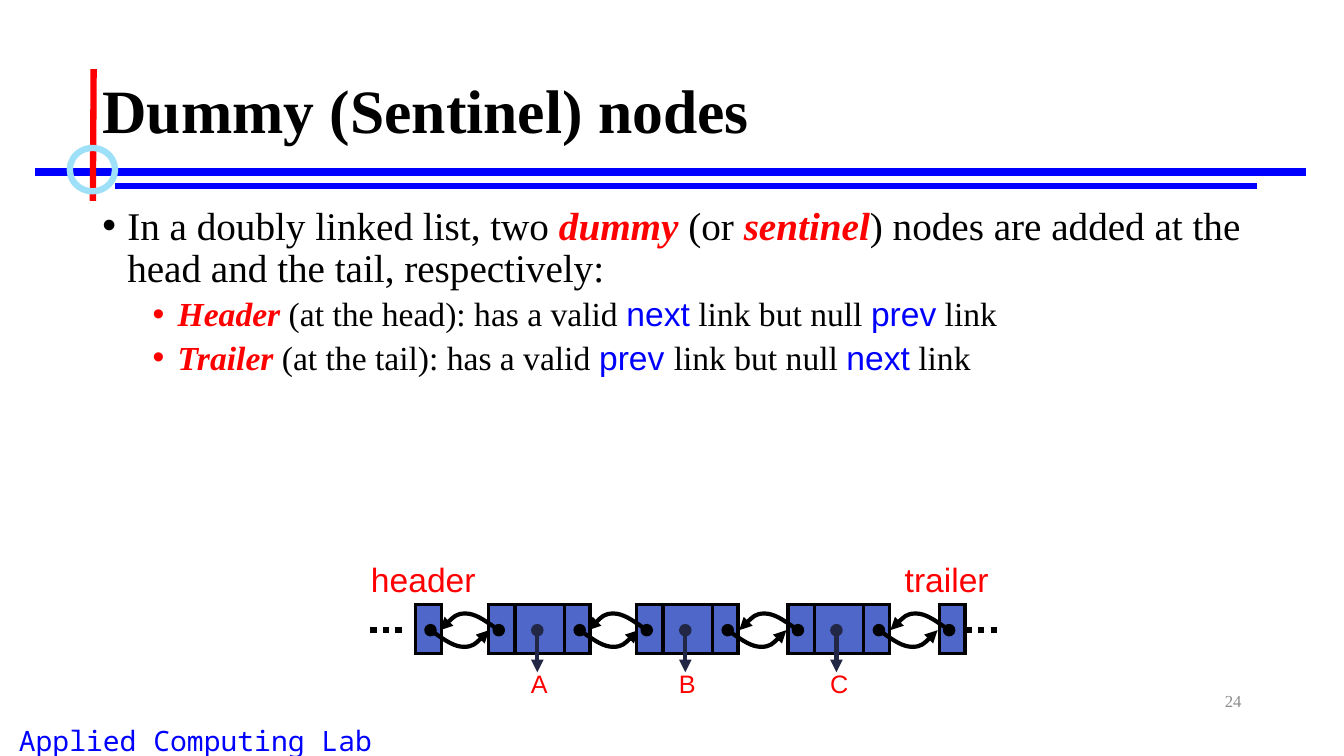
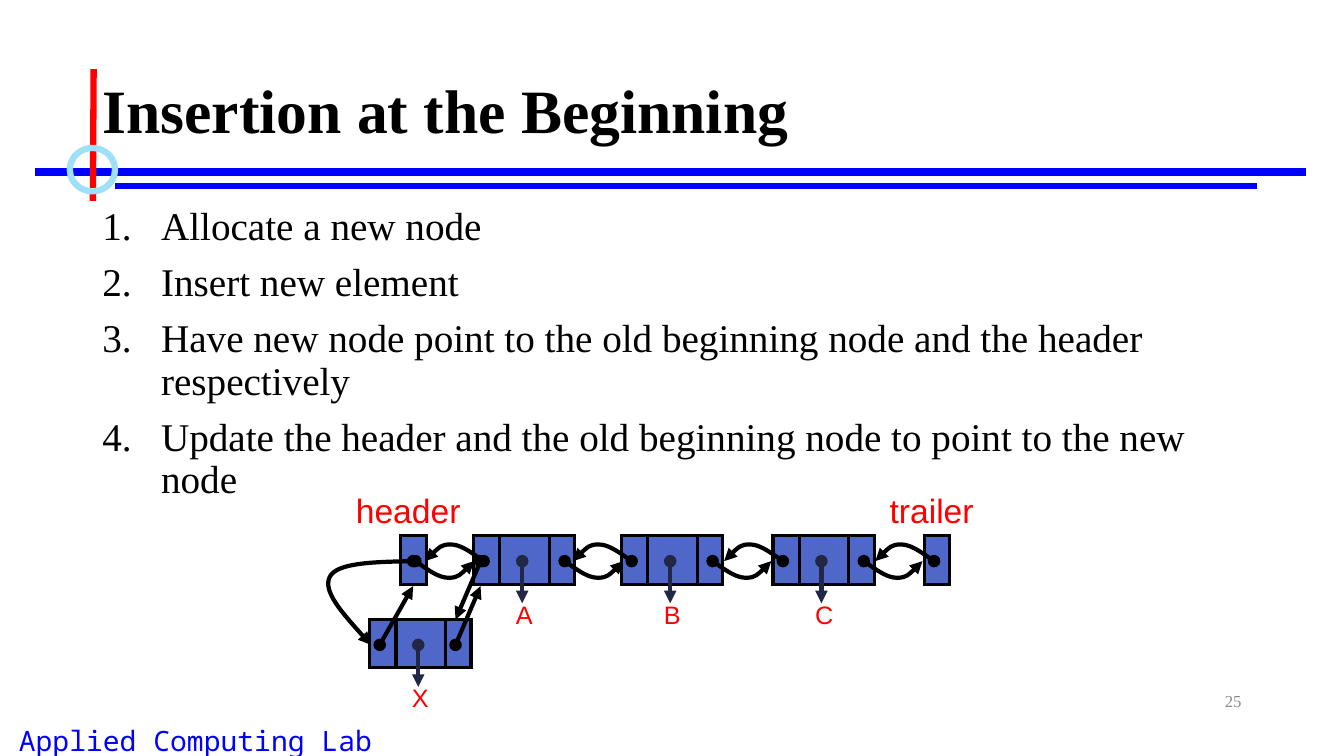
from lxml import etree
from pptx import Presentation
from pptx.dml.color import RGBColor
from pptx.enum.dml import MSO_LINE
from pptx.enum.shapes import MSO_CONNECTOR, MSO_SHAPE
from pptx.enum.text import MSO_ANCHOR, MSO_AUTO_SIZE, PP_ALIGN
from pptx.oxml.ns import qn
from pptx.util import Cm, Pt

STRAIGHT, RECT, OVAL = MSO_CONNECTOR.STRAIGHT, MSO_SHAPE.RECTANGLE, MSO_SHAPE.OVAL
DOTS = MSO_LINE.ROUND_DOT
LEFT, CENTER, RIGHT = PP_ALIGN.LEFT, PP_ALIGN.CENTER, PP_ALIGN.RIGHT
TOP, MIDDLE = MSO_ANCHOR.TOP, MSO_ANCHOR.MIDDLE

COLORS = {
    "black": "000000", "red": "FF0000", "blue": "0000FF", "sky": "9EE0F8",
    "node": "4E67C8", "navy": "212745", "gray": "8C8C8C",
}
SERIF, SANS, MONO = "Times New Roman", "Arial", "Noto Sans Mono"

# font, colour, bold, italic
STYLES = {
    "title": (SERIF, "black", True, False),
    "plain": (SERIF, "black", False, False),
    "term": (SERIF, "red", True, True),
    "code": (SANS, "blue", False, False),
    "label": (SANS, "red", False, False),
    "footer": (MONO, "blue", False, False),
    "number": (SERIF, "gray", False, False),
}
# size, alignment, line spacing, space before, margin, hanging indent, bullet
LEVELS = {
    "title": (44, LEFT, 0.9, 0, 0, 0, None),
    "bullet": (28, LEFT, 0.9, 10, 0.63, 0.63, "buChar"),
    "sub": (24, LEFT, 0.9, 5, 1.9, 0.63, "buChar"),
    "step": (28, LEFT, 0.9, 10, 1.48, 1.48, "buAutoNum"),
    "footer": (20, CENTER, 1, 0, 0, 0, None),
    "number": (12, RIGHT, 1, 0, 0, 0, None),
    "end": (24, LEFT, 1, 0, 0, 0, None),
    "element": (18, LEFT, 1, 0, 0, 0, None),
}
BULLETS = {"buChar": {"char": "•"}, "buAutoNum": {"type": "arabicPeriod"}}


def add_text(s, box, paragraphs, anchor=TOP, wrap=True):
    """Add a text box; each paragraph is a level and a list of (text, style) runs."""
    tf = s.shapes.add_textbox(*map(Cm, box)).text_frame
    tf.word_wrap = wrap
    tf.vertical_anchor = anchor
    tf.auto_size = MSO_AUTO_SIZE.NONE if wrap else MSO_AUTO_SIZE.SHAPE_TO_FIT_TEXT
    for i, (level, runs) in enumerate(paragraphs):
        size, align, spacing, before, margin, hang, bullet = LEVELS[level]
        p = tf.add_paragraph() if i else tf.paragraphs[0]
        p.alignment, p.line_spacing, p.space_before = align, spacing, Pt(before)
        if bullet:
            pPr = p._p.get_or_add_pPr()
            pPr.set("marL", str(Cm(margin)))
            pPr.set("indent", str(-Cm(hang)))
            if bullet == "buChar":
                etree.SubElement(pPr, qn("a:buFont"), typeface=SANS)
            etree.SubElement(pPr, qn("a:" + bullet), BULLETS[bullet])
        for text, style in runs:
            r = p.add_run()
            r.text = text
            r.font.size = Pt(size)
            r.font.name, color, r.font.bold, r.font.italic = STYLES[style]
            r.font.color.rgb = RGBColor.from_string(COLORS[color])


def set_line(shape, color, width, arrow=False, dash=None):
    """Set a sharp outline without shadow, with a round start and arrowhead on request."""
    shape.line.color.rgb = RGBColor.from_string(COLORS[color])
    shape.line.width = Pt(width)
    if dash:
        shape.line.dash_style = dash
    spPr = shape.element.spPr
    ln = spPr.find(qn("a:ln"))
    etree.SubElement(ln, qn("a:miter"), lim="800000")
    if arrow:
        etree.SubElement(ln, qn("a:headEnd"), type="oval")
        etree.SubElement(ln, qn("a:tailEnd"), type="triangle")
    etree.SubElement(spPr, qn("a:effectLst"))


# Linked-list geometry in cm, measured from the top left corner of each node
CELL_H, MID = 1.22, 0.64
NODE_CELLS = [(0.61, 1.3), (1.91, 0.64), (0, 0.66)]
END_CELL = [(0, 0.65)]
ELEMENT_BOX = (0.81, 1.47, 0.94, 1.02)
POINTER = ((1.22, MID), (1.22, 1.7), "navy")
ARC = [(0, 0), (0.3, 0.21), (0.6, 0.42), (0.84, 0.42), (1.08, 0.42), (1.28, 0.21), (1.48, 0)]
NEXT, PREV, HEADER_NEXT = [
    [(start + way * x, MID + way * y) for x, y in ARC]
    for start, way in ((2.29, 1), (0.25, -1), (0.38, 1))
]

# x, y, cells, label, label level, label box, straight arrows, curved arrows
CHAIN = [
    (x, 0, NODE_CELLS, name, "element", ELEMENT_BOX, [POINTER], [NEXT, PREV])
    for x, name in ((1.85, "A"), (5.58, "B"), (9.39, "C"))
] + [
    (0, 0, END_CELL, "header", "end", (-1.37, -1.27, 3.3, 1.27), [], [HEADER_NEXT]),
    (13.2, 0, END_CELL, "trailer", "end", (-1.12, -1.27, 2.67, 1.3), [], [PREV]),
]
NEW_NODE = (
    -0.77, 2.11, NODE_CELLS, "X", "element", ELEMENT_BOX,
    [POINTER,
     ((2.16, MID), (2.79, -0.84), "black"),
     ((0.25, MID), (1.09, -0.84), "black"),
     ((2.79, -1.47), (2.16, 0), "black")],
    [[(1.09, -1.47), (0.13, -1.45), (-0.84, -1.42), (-1.01, -1.07),
      (-1.19, -0.71), (-0.58, -0.03), (0.03, MID)]],
)

# title, body, list origin, nodes, dotted lines (from x, to x)
SLIDES = [
    ("Dummy (Sentinel) nodes", [
        ("bullet", [
            ("In a doubly linked list, two ", "plain"), ("dummy ", "term"),
            ("(or ", "plain"), ("sentinel", "term"),
            (") nodes are added at the head and the tail, respectively:", "plain")]),
        ("sub", [
            ("Header", "term"), (" (at the head): has a valid ", "plain"),
            ("next", "code"), (" link but null ", "plain"),
            ("prev", "code"), (" link", "plain")]),
        ("sub", [
            ("Trailer", "term"), (" (at the tail): has a valid ", "plain"),
            ("prev ", "code"), ("link but null ", "plain"),
            ("next", "code"), (" link", "plain")]),
    ], (10.47, 15.24), CHAIN, [(-1.14, -0.3), (13.86, 14.72)]),
    ("Insertion at the Beginning", [
        ("step", [(text, "plain")]) for text in (
            "Allocate a new node",
            "Insert new element",
            "Have new node point to the old beginning node and the header respectively",
            "Update the header and the old beginning node to point to the new node")
    ], (10.09, 13.5), CHAIN + [NEW_NODE], []),
]
# x1, y1, x2, y2, colour, width
RULES = [
    (0.89, 4.33, 32.91, 4.33, "blue", 6),
    (2.9, 4.68, 31.67, 4.68, "blue", 4.5),
    (2.36, 1.74, 2.34, 5.06, "red", 4.5),
]

prs = Presentation()
prs.slide_width, prs.slide_height = Cm(33.87), Cm(19.05)

for number, (title, body, (left, top), nodes, dotted) in enumerate(SLIDES, 24):
    s = prs.slides.add_slide(prs.slide_layouts[6])

    # Shared frame
    add_text(s, (-1.47, 18.11, 12.8, 1.09), [("footer", [("Applied Computing Lab", "footer")])])
    for x1, y1, x2, y2, color, width in RULES:
        rule = s.shapes.add_connector(STRAIGHT, Cm(x1), Cm(y1), Cm(x2), Cm(y2))
        set_line(rule, color, width)
    ring = s.shapes.add_shape(OVAL, Cm(1.76), Cm(3.73), Cm(1.14), Cm(1.09))
    ring.fill.background()
    set_line(ring, "sky", 4.5)
    add_text(s, (2.33, 1.01, 29.21, 3.68), [("title", [(title, "title")])], MIDDLE)
    add_text(s, (2.33, 5.07, 29.21, 12.09), body)
    add_text(s, (23.92, 17.15, 7.62, 1.01), [("number", [(str(number), "number")])], MIDDLE)

    # Linked list
    for x1, x2 in dotted:
        dots = s.shapes.add_connector(
            STRAIGHT, Cm(left + x1), Cm(top + MID), Cm(left + x2), Cm(top + MID))
        set_line(dots, "black", 4.5, dash=DOTS)
    for dx, dy, cells, label, level, (bx, by, bw, bh), arrows, curves in nodes:
        x, y = left + dx, top + dy
        for offset, width in cells:
            cell = s.shapes.add_shape(RECT, Cm(x + offset), Cm(y), Cm(width), Cm(CELL_H))
            cell.fill.solid()
            cell.fill.fore_color.rgb = RGBColor.from_string(COLORS["node"])
            set_line(cell, "black", 2.25)
        for (x1, y1), (x2, y2), color in arrows:
            arrow = s.shapes.add_connector(
                STRAIGHT, Cm(x + x1), Cm(y + y1), Cm(x + x2), Cm(y + y2))
            set_line(arrow, color, 3, arrow=True)
        add_text(s, (x + bx, y + by, bw, bh), [(level, [(label, "label")])], wrap=False)
        for curve in curves:
            points = [(Cm(x + px), Cm(y + py)) for px, py in curve]
            builder = s.shapes.build_freeform(*points[0])
            builder.add_line_segments(points[1:], close=False)
            link = builder.convert_to_shape()
            # Every three straight segments become one Bezier segment
            segments = list(link.element.iter(qn("a:lnTo")))
            outline = segments[0].getparent()
            for i in range(0, len(segments), 3):
                bezier = etree.SubElement(outline, qn("a:cubicBezTo"))
                for segment in segments[i:i + 3]:
                    bezier.append(segment[0])
                    outline.remove(segment)
            link.fill.background()
            set_line(link, "black", 3, arrow=True)

prs.save("out.pptx")
